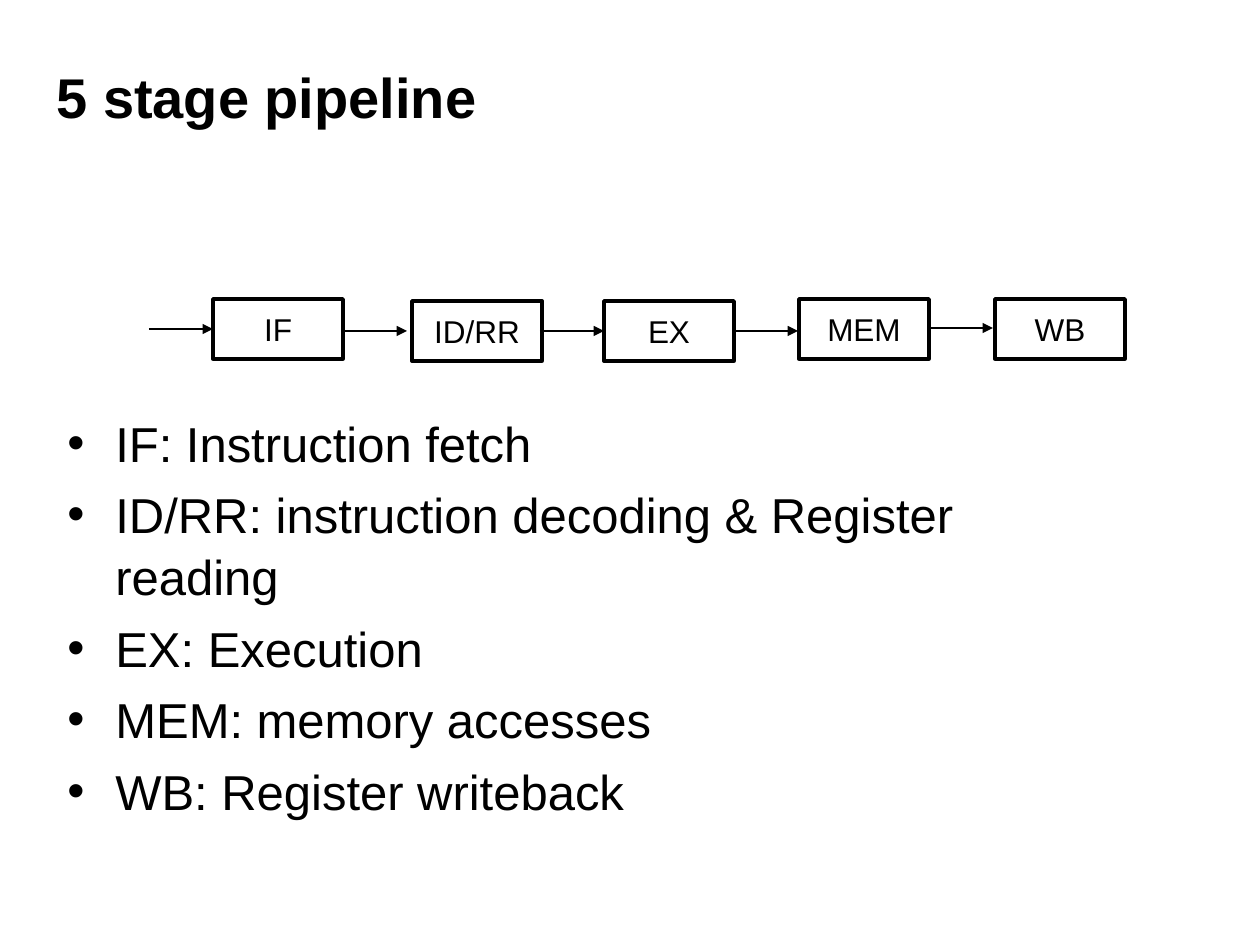
from dataclasses import dataclass

from lxml import etree
from pptx import Presentation
from pptx.dml.color import RGBColor
from pptx.enum.shapes import MSO_CONNECTOR, MSO_SHAPE
from pptx.enum.text import MSO_ANCHOR, PP_ALIGN
from pptx.oxml.ns import qn
from pptx.util import Pt

SCALE = 914400 / 126
STRAIGHT = MSO_CONNECTOR.STRAIGHT
RECTANGLE = MSO_SHAPE.RECTANGLE
MIDDLE, TOP = MSO_ANCHOR.MIDDLE, MSO_ANCHOR.TOP
CENTER, LEFT = PP_ALIGN.CENTER, PP_ALIGN.LEFT
COLORS = {"ink": "000000", "paper": "FFFFFF"}
FONT = "Arial"
STAGE_WIDTH, STAGE_HEIGHT = 130, 60
ARROW_LENGTH = 64
BULLET_INDENT = 48


@dataclass(frozen=True)
class Stage:
    """A pipeline stage with the start of the arrow that leads to it."""
    label: str
    left: int
    top: int
    arrow_left: int
    arrow_y: int


STAGES = [
    Stage("IF", 213, 299, 149, 329),
    Stage("ID/RR", 412, 301, 343, 331),
    Stage("EX", 604, 301, 540, 331),
    Stage("MEM", 799, 299, 734, 331),
    Stage("WB", 995, 299, 929, 328),
]
MEANINGS = [
    "IF: Instruction fetch",
    "ID/RR: instruction decoding & Register reading",
    "EX: Execution",
    "MEM: memory accesses",
    "WB: Register writeback",
]


def px(length: float) -> int:
    """Turn pixels into EMU."""
    return round(length * SCALE)


def color(name: str) -> RGBColor:
    """Look up a named colour."""
    return RGBColor.from_string(COLORS[name])


def write(frame, lines: list[str], size: int, bold=False, anchor=TOP, align=LEFT) -> None:
    """Fill a text frame with one paragraph per line."""
    frame.word_wrap = True
    frame.vertical_anchor = anchor
    for number, line in enumerate(lines):
        paragraph = frame.add_paragraph() if number else frame.paragraphs[0]
        paragraph.alignment = align
        run = paragraph.add_run()
        run.text = line
        formats = {"name": FONT, "size": Pt(size), "bold": bold}
        for attribute, value in formats.items():
            setattr(run.font, attribute, value)
        run.font.color.rgb = color("ink")


def add_bullet(paragraph) -> None:
    """Give a paragraph a hanging bullet and its spacing."""
    paragraph.space_before = Pt(5.6)
    paragraph.line_spacing = 1.05
    properties = paragraph._p.get_or_add_pPr()
    properties.set("marL", str(px(BULLET_INDENT)))
    properties.set("indent", str(-px(BULLET_INDENT)))
    etree.SubElement(properties, qn("a:buFont")).set("typeface", FONT)
    etree.SubElement(properties, qn("a:buChar")).set("char", "•")


def add_stage(shapes, stage: Stage) -> None:
    """Draw the box of a stage."""
    box = shapes.add_shape(RECTANGLE, px(stage.left), px(stage.top),
                           px(STAGE_WIDTH), px(STAGE_HEIGHT))
    box.shadow.inherit = False
    box.fill.solid()
    box.fill.fore_color.rgb = color("paper")
    box.line.color.rgb = color("ink")
    box.line.width = Pt(2)
    margins = {"margin_left": 9, "margin_right": 9, "margin_top": 5, "margin_bottom": 5}
    for side, margin in margins.items():
        setattr(box.text_frame, side, px(margin))
    write(box.text_frame, [stage.label], 18, anchor=MIDDLE, align=CENTER)


def add_arrow(shapes, stage: Stage) -> None:
    """Draw the arrow that leads to a stage."""
    y = px(stage.arrow_y)
    arrow = shapes.add_connector(STRAIGHT, px(stage.arrow_left), y,
                                 px(stage.arrow_left + ARROW_LENGTH), y)
    arrow.line.color.rgb = color("ink")
    arrow.line.width = Pt(0.75)
    etree.SubElement(arrow.line._get_or_add_ln(), qn("a:tailEnd")).set("type", "triangle")
    etree.SubElement(arrow._element.spPr, qn("a:effectLst"))


def main() -> None:
    """Build and save the slide."""
    deck = Presentation()
    deck.slide_width, deck.slide_height = px(1260), px(945)
    shapes = deck.slides.add_slide(deck.slide_layouts[6]).shapes

    title = shapes.add_textbox(px(44), px(44), px(1134), px(105))
    write(title.text_frame, ["5 stage pipeline"], 32, bold=True, anchor=MIDDLE)

    glossary = shapes.add_textbox(px(55), px(404), px(1070), px(367))
    write(glossary.text_frame, MEANINGS, 28)
    for paragraph in glossary.text_frame.paragraphs:
        add_bullet(paragraph)

    for draw in (add_stage, add_arrow):
        for stage in STAGES:
            draw(shapes, stage)
    deck.save("out.pptx")


main()
